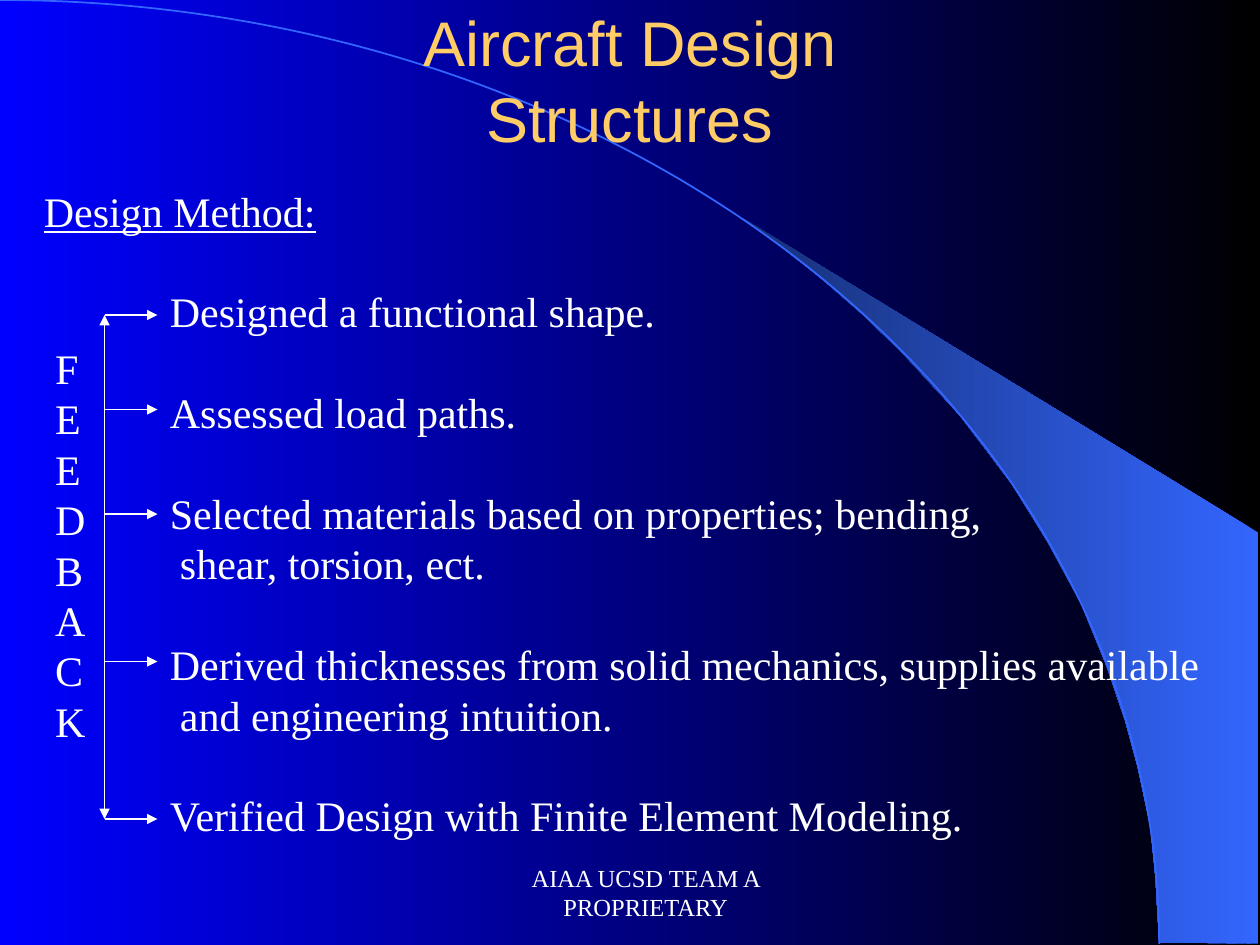
from lxml import etree
from pptx import Presentation
from pptx.dml.color import RGBColor
from pptx.enum.shapes import MSO_CONNECTOR, MSO_SHAPE
from pptx.enum.text import MSO_ANCHOR, PP_ALIGN
from pptx.oxml.ns import qn
from pptx.util import Inches, Pt

LEFT, CENTER = PP_ALIGN.LEFT, PP_ALIGN.CENTER
TOP, MIDDLE = MSO_ANCHOR.TOP, MSO_ANCHOR.MIDDLE
ARC, STRAIGHT = MSO_SHAPE.ARC, MSO_CONNECTOR.STRAIGHT

SERIF, SANS = "Times New Roman", "Arial"
WHITE, GOLD, BLUE = "FFFFFF", "FFCC66", "3366FF"

SWOOSH = [
    (9.2, 7.48), (9.99, 7.49), (9.99, 4.23), (5.89, 1.73), (6.24, 1.99),
    (6.53, 2.22), (6.85, 2.5), (7.16, 2.8), (7.62, 3.3), (8.03, 3.84),
    (8.32, 4.31), (8.58, 4.79), (8.78, 5.28), (8.93, 5.72), (9.03, 6.09),
    (9.13, 6.56), (9.17, 6.96),
]
STEPS = [
    ["Designed a functional shape."],
    ["Assessed load paths."],
    ["Selected materials based on properties; bending,",
     "shear, torsion, ect."],
    ["Derived thicknesses from solid mechanics, supplies available",
     "and engineering intuition."],
    ["Verified Design with Finite Element Modeling."],
]
ARROW_OFFSETS = [0, 0.75, 1.58, 2.75, 4]


def rgb(value):
    return RGBColor.from_string(value)


def set_gradient(fill, start, end):
    fill.gradient()
    fill.gradient_angle = 180
    for stop, color, position in zip(fill.gradient_stops, (start, end), (0, 1)):
        stop.color.rgb = rgb(color)
        stop.position = position


def add_box(s, x, y, w, h, anchor=TOP, right=0.1):
    tf = s.shapes.add_textbox(Inches(x), Inches(y), Inches(w), Inches(h)).text_frame
    tf.word_wrap = True
    tf.vertical_anchor = anchor
    tf.margin_right = Inches(right)
    return tf


def add_text(tf, text, size=24, font=SERIF, color=WHITE, align=LEFT,
             leading=28.8, before=0, indent=0, underline=False):
    p = tf.paragraphs[0] if not tf.text else tf.add_paragraph()
    p.text = text
    p.alignment = align
    p.line_spacing = Pt(leading)
    p.space_before = Pt(before)
    if indent:
        pPr = p._p.get_or_add_pPr()
        pPr.set("marL", str(Inches(indent)))
        pPr.set("indent", "0")
    for r in p.runs:
        r.font.size = Pt(size)
        r.font.name = font
        r.font.color.rgb = rgb(color)
        r.font.underline = underline


def add_arrow(s, x1, y1, x2, y2, ends=("tailEnd",)):
    line = s.shapes.add_connector(
        STRAIGHT, Inches(x1), Inches(y1), Inches(x2), Inches(y2))
    line.line.color.rgb = rgb(WHITE)
    line.line.width = Pt(0.75)
    ln = line.line._get_or_add_ln()
    for end in ends:
        etree.SubElement(ln, qn("a:" + end), type="triangle")
    etree.SubElement(line._element.spPr, qn("a:effectLst"))


def add_backdrop(s, x, y, w, h):
    set_gradient(s.background.fill, "000000", "0000FF")
    points = [(Inches(x + px), Inches(y + py)) for px, py in SWOOSH]
    builder = s.shapes.build_freeform(*points[0])
    builder.add_line_segments(points[1:], close=True)
    swoosh = builder.convert_to_shape()
    swoosh.shadow.inherit = False
    set_gradient(swoosh.fill, BLUE, "172F75")
    swoosh.line.fill.background()

    arc = s.shapes.add_shape(
        ARC, Inches(x - w), Inches(y), Inches(2 * w), Inches(2 * h))
    arc.shadow.inherit = False
    arc.fill.background()
    arc.line.color.rgb = rgb(BLUE)
    arc.line.width = Pt(1)


def add_title(s, x, y, w, h):
    tf = add_box(s, x, y, w, h, anchor=MIDDLE)
    add_text(tf, "Aircraft Design\vStructures", size=36, font=SANS,
             color=GOLD, align=CENTER, leading=43.4)


def add_method(s, x, y, w, h):
    tf = add_box(s, x, y, w, h, right=0)
    add_text(tf, "Design Method:", underline=True)
    for first, *rest in STEPS:
        add_text(tf, first, before=28.8, indent=1)
        for text in rest:
            add_text(tf, text, indent=1.08)


def add_feedback(s, x, y, w, h):
    tf = add_box(s, x, y + 0.17, 0.44, 3.7, right=0)
    for letter in "FEEDBACK":
        add_text(tf, letter)
    spine = x + 0.49
    for offset in ARROW_OFFSETS:
        add_arrow(s, spine, y + offset, x + w, y + offset)
    add_arrow(s, spine, y + h, spine, y, ends=("headEnd", "tailEnd"))


def add_footer(s, x, y, w, h):
    tf = add_box(s, x, y, w, h, anchor=MIDDLE)
    add_text(tf, "AIAA UCSD TEAM A PROPRIETARY", size=14, align=CENTER,
             leading=16.6, indent=0.24)


def main():
    prs = Presentation()
    prs.slide_width, prs.slide_height = Inches(10), Inches(7.5)
    s = prs.slides.add_slide(prs.slide_layouts[6])
    add_backdrop(s, 0, 0, 9.2, 7.49)
    add_title(s, 0.75, 0, 8.5, 1.25)
    add_method(s, 0.25, 1.42, 9.37, 5.3)
    add_feedback(s, 0.34, 2.5, 0.91, 4)
    add_footer(s, 3.42, 6.83, 3.17, 0.5)
    prs.save("out.pptx")


if __name__ == "__main__":
    main()
